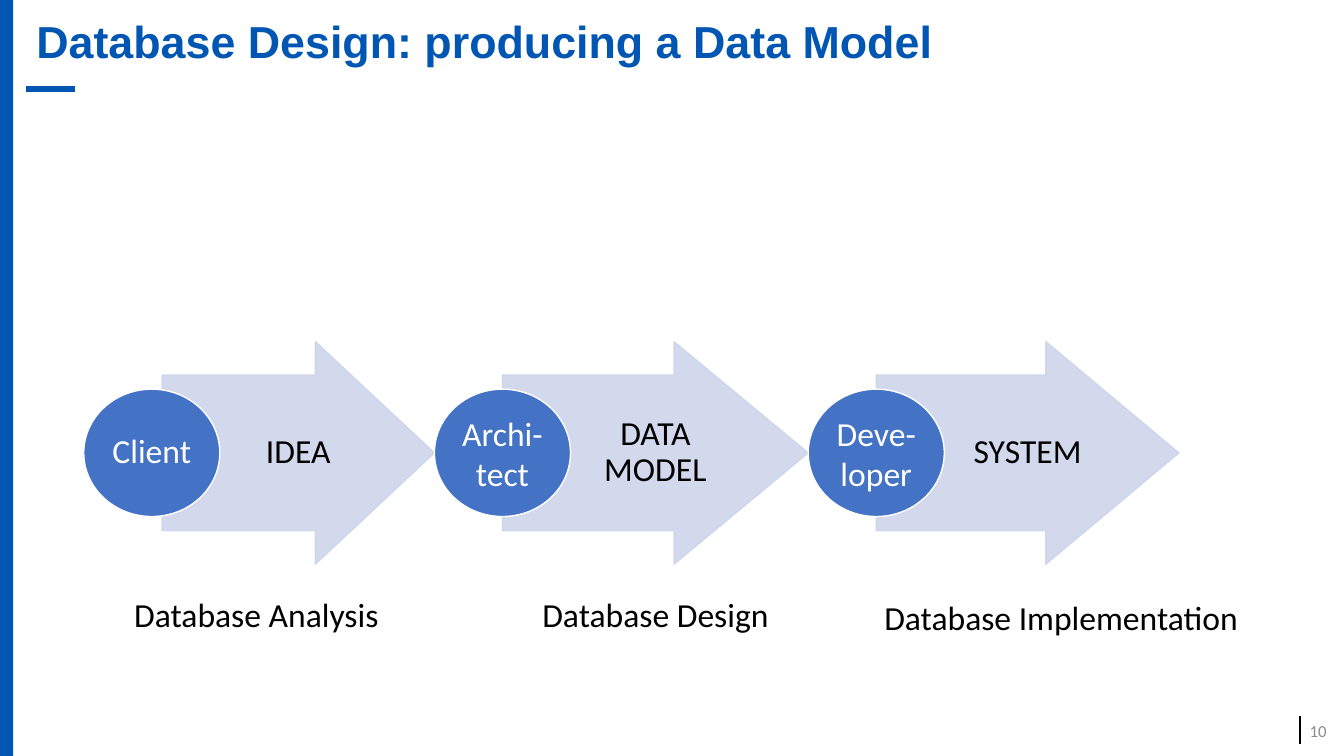
from lxml import etree
from pptx import Presentation
from pptx.dml.color import RGBColor
from pptx.enum.shapes import MSO_CONNECTOR, MSO_SHAPE
from pptx.enum.text import MSO_ANCHOR, PP_ALIGN
from pptx.oxml.ns import qn
from pptx.util import Pt

BLUE = RGBColor(0x00, 0x56, 0xB2)
ROLE_BLUE = RGBColor(0x44, 0x72, 0xC4)
PALE = RGBColor(0xCF, 0xD5, 0xEA)
GREY = RGBColor(0x8C, 0x8C, 0x8C)
BLACK = RGBColor(0, 0, 0)
WHITE = RGBColor(255, 255, 255)

STRAIGHT = MSO_CONNECTOR.STRAIGHT
RECT, OVAL, ARROW = MSO_SHAPE.RECTANGLE, MSO_SHAPE.OVAL, MSO_SHAPE.RIGHT_ARROW
TOP, MIDDLE = MSO_ANCHOR.TOP, MSO_ANCHOR.MIDDLE
LEFT, CENTER, RIGHT = PP_ALIGN.LEFT, PP_ALIGN.CENTER, PP_ALIGN.RIGHT

SLIDE_W, SLIDE_H = 960, 540
CIRCLE_W, CIRCLE_H = 97.2, 91
SHAFT = 0.7

STAGES = [
    {"role": ["Client"], "result": "IDEA", "width": 250.5, "gap": 56,
     "head": 85, "spacing": 0.9},
    {"role": ["Archi-", "tect"], "result": "DATA MODEL", "width": 267,
     "gap": 48.6, "head": 95.8, "spacing": 1},
    {"role": ["Deve-", "loper"], "result": "SYSTEM", "width": 264.8,
     "gap": 48.6, "head": 95, "spacing": 1},
]
CAPTIONS = [
    ("Database Analysis", (57.6, 421, 251, 36)),
    ("Database Design", (342.7, 421, 251, 36)),
    ("Database Implementation", (613.4, 422.6, 289, 36)),
]


def set_format(obj, values):
    for name, value in values.items():
        setattr(obj, name, value)


def write(sp, lines, color, size=24, align=CENTER, anchor=MIDDLE,
          spacing=1, font="Calibri", bold=False):
    tf = sp.text_frame
    set_format(tf, {"word_wrap": True, "vertical_anchor": anchor})
    for i, line in enumerate(lines):
        p = tf.add_paragraph() if i else tf.paragraphs[0]
        set_format(p, {"alignment": align, "line_spacing": spacing,
                       "space_before": Pt(0)})
        r = p.add_run()
        r.text = line
        set_format(r.font, {"name": font, "size": Pt(size), "bold": bold})
        r.font.color.rgb = color


def add_preset(s, kind, box, fill, line=None):
    sp = s.shapes.add_shape(kind, *map(Pt, box))
    sp.shadow.inherit = False
    sp.fill.solid()
    sp.fill.fore_color.rgb = fill
    if line is None:
        sp.line.fill.background()
    else:
        sp.line.color.rgb = line
        sp.line.width = Pt(1)
    return sp


def add_rule(s, x1, y1, x2, y2, color, width):
    c = s.shapes.add_connector(STRAIGHT, Pt(x1), Pt(y1), Pt(x2), Pt(y2))
    c.line.color.rgb = color
    c.line.width = Pt(width)
    etree.SubElement(c._element.spPr, qn("a:effectLst"))


def add_heading(s, x, y, w, h):
    title = s.shapes.title
    set_format(title, {"left": Pt(x), "top": Pt(y),
                       "width": Pt(w), "height": Pt(h)})
    write(title, ["Database Design: producing a Data Model"], BLUE, size=32,
          align=LEFT, spacing=0.9, font="Arial", bold=True)
    add_rule(s, x, y + h, x + 35, y + h, BLUE, 4)


def add_stage(s, stage, x, y, h):
    w, head = stage["width"] - stage["gap"], stage["head"]
    arrow = add_preset(s, ARROW, (x + stage["gap"], y, w, h), PALE, PALE)
    arrow.adjustments[0] = SHAFT
    arrow.adjustments[1] = head / min(w, h)
    for color in arrow._element.spPr.iter(qn("a:srgbClr")):
        etree.SubElement(color, qn("a:alpha"), val="90000")
    set_format(arrow.text_frame, {"margin_left": Pt(SHAFT * head),
                                  "margin_right": 0})
    write(arrow, [stage["result"]], BLACK, spacing=0.9)

    box = (x, y + (h - CIRCLE_H) / 2, CIRCLE_W, CIRCLE_H)
    circle = add_preset(s, OVAL, box, ROLE_BLUE, WHITE)
    set_format(circle.text_frame, dict.fromkeys(
        ("margin_left", "margin_top", "margin_right", "margin_bottom"), 0))
    write(circle, stage["role"], WHITE, spacing=stage["spacing"])


def add_process(s, x, y, h):
    for stage in STAGES:
        add_stage(s, stage, x, y, h)
        x += stage["width"]


def add_captions(s):
    for text, box in CAPTIONS:
        write(s.shapes.add_textbox(*map(Pt, box)), [text], BLACK, anchor=TOP)


def add_page_number(s, x, y, w, h):
    add_rule(s, x + 4.4, y + 3.6, x + 4.4, y + h - 5, BLACK, 1.5)
    sp = s.shapes.add_textbox(Pt(x), Pt(y), Pt(w), Pt(h))
    write(sp, ["10"], GREY, size=12, align=RIGHT)


def main():
    prs = Presentation()
    prs.slide_width, prs.slide_height = Pt(SLIDE_W), Pt(SLIDE_H)
    s = prs.slides.add_slide(prs.slide_layouts[5])
    add_preset(s, RECT, (0, 0, 9.4, SLIDE_H), BLUE)
    add_heading(s, 18.7, 0, 931.7, 63.4)
    add_process(s, 59.8, 244, 159)
    add_captions(s)
    add_page_number(s, 924.5, 507.6, 30.2, 28.8)
    prs.save("out.pptx")


if __name__ == "__main__":
    main()
